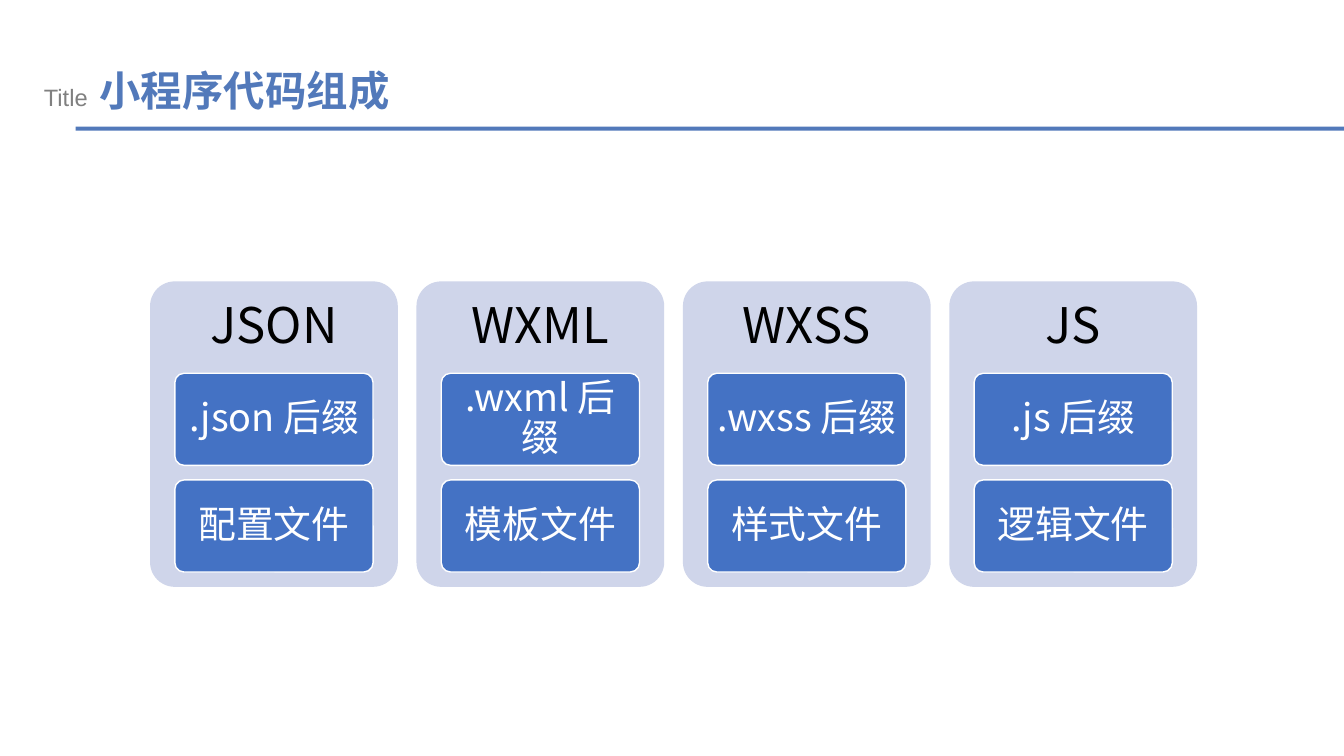
from pptx import Presentation
from pptx.dml.color import RGBColor
from pptx.enum.shapes import MSO_SHAPE as SHAPE
from pptx.enum.text import MSO_ANCHOR as ANCHOR, PP_ALIGN as ALIGN
from pptx.oxml.ns import qn
from pptx.util import Pt

CJK = "Noto Sans CJK SC"


def color(hex_value):
    return RGBColor.from_string(hex_value)


def add_text(p, text, size, fill="000000", latin="Arial", bold=False):
    r = p.add_run()
    r.text = text
    r.font.size = Pt(size)
    r.font.bold = bold
    r.font.name = latin
    r.font.color.rgb = color(fill)
    ea = r._r.get_or_add_rPr().makeelement(qn("a:ea"), {"typeface": CJK})
    r.font._element.find(qn("a:latin")).addnext(ea)
    return r


class Deck:
    accent = "5279BA"
    panel_fill = "CFD5EA"
    card_fill = "4472C4"

    def __init__(self):
        self.prs = Presentation()
        self.prs.slide_width, self.prs.slide_height = Pt(960), Pt(540)
        self.slide = self.prs.slides.add_slide(self.prs.slide_layouts[6])

    def shape(self, kind, x, y, w, h, fill, line=None):
        sp = self.slide.shapes.add_shape(kind, Pt(x), Pt(y), Pt(w), Pt(h))
        sp.shadow.inherit = False
        sp.fill.solid()
        sp.fill.fore_color.rgb = color(fill)
        if line:
            sp.line.color.rgb = color(line)
            sp.line.width = Pt(1)
        else:
            sp.line.fill.background()
        if kind == SHAPE.ROUNDED_RECTANGLE:
            sp.adjustments[0] = 0.1
        return sp

    def text_box(self, x, y, w, h):
        tf = self.slide.shapes.add_textbox(Pt(x), Pt(y), Pt(w), Pt(h)).text_frame
        tf.word_wrap = True
        return tf

    def centered(self, tf, text, size, fill, inset_x, inset_y):
        tf.word_wrap = True
        tf.vertical_anchor = ANCHOR.MIDDLE
        tf.margin_left = tf.margin_right = Pt(inset_x)
        tf.margin_top = tf.margin_bottom = Pt(inset_y)
        p = tf.paragraphs[0]
        p.alignment = ALIGN.CENTER
        p.line_spacing = 0.9
        add_text(p, text, size, fill, latin=CJK)

    def title(self, label, text):
        self.shape(SHAPE.RECTANGLE, 54, 90.5, 906, 2.9, self.accent)
        p = self.text_box(24.3, 43.2, 773.3, 43.2).paragraphs[0]
        add_text(p, label, 16.9, "808080")
        add_text(p, " ", 29.6)
        add_text(p, text, 29.6, self.accent, bold=True)

    def panel(self, x, y, heading, cards):
        w, heading_h = 177, 65.6
        self.shape(SHAPE.ROUNDED_RECTANGLE, x, y, w, 218.2, self.panel_fill)
        tf = self.text_box(x, y, w, heading_h)
        self.centered(tf, heading, 35, "000000", 10.5, 10.5)
        for row, text in enumerate(cards):
            sp = self.shape(SHAPE.ROUNDED_RECTANGLE, x + 17.7,
                            y + heading_h + row * 76.2, 141.6, 65.8,
                            self.card_fill, line="FFFFFF")
            self.centered(sp.text_frame, text, 27, "FFFFFF", 5, 4)


def main():
    deck = Deck()

    # Title and rule
    deck.title("Title", "小程序代码组成")

    # One panel per file type
    file_types = [
        ("JSON", ".json 后缀", "配置文件"),
        ("WXML", ".wxml 后缀", "模板文件"),
        ("WXSS", ".wxss 后缀", "样式文件"),
        ("JS", ".js 后缀", "逻辑文件"),
    ]
    for col, (heading, *cards) in enumerate(file_types):
        deck.panel(107.2 + col * 190.3, 201, heading, cards)

    deck.prs.save("out.pptx")


if __name__ == "__main__":
    main()
